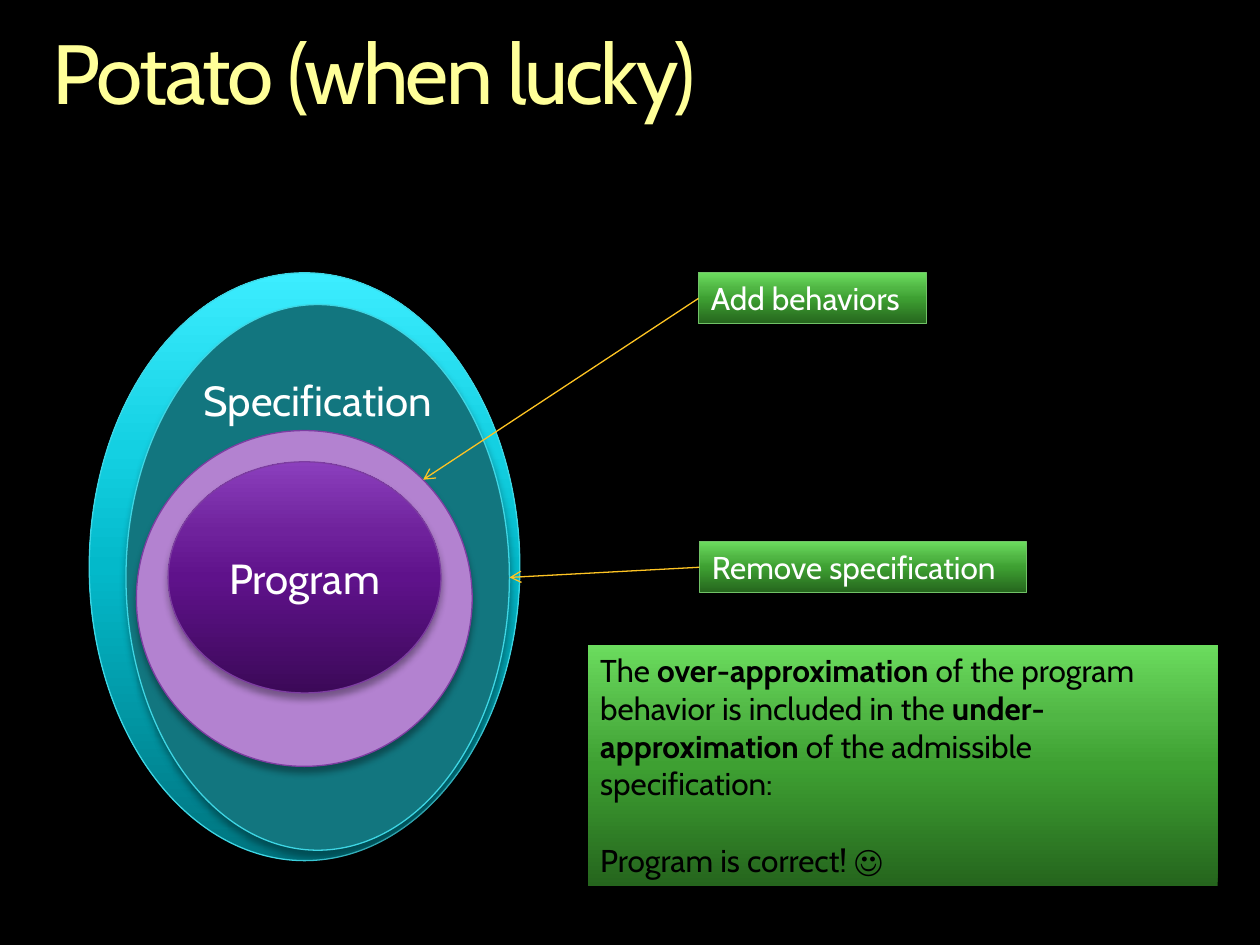
import pptx
import pptx.dml.color
import pptx.enum.dml
import pptx.enum.shapes
import pptx.enum.text
import pptx.oxml
import pptx.oxml.ns
import pptx.util
from lxml import etree

Cm = pptx.util.Cm
Pt = pptx.util.Pt
RGBColor = pptx.dml.color.RGBColor
qn = pptx.oxml.ns.qn
SHAPE = pptx.enum.shapes.MSO_SHAPE
ALIGN = pptx.enum.text.PP_ALIGN
ANCHOR = pptx.enum.text.MSO_ANCHOR

BLACK = RGBColor(0x00, 0x00, 0x00)
WHITE = RGBColor(0xFF, 0xFF, 0xFF)
YELLOW = RGBColor(0xFF, 0xFF, 0x99)
AMBER = RGBColor(0xFE, 0xC4, 0x23)
TEAL = RGBColor(0x12, 0x76, 0x7F)
AQUA = RGBColor(0x3E, 0xD6, 0xE4)
LILAC = RGBColor(0xB3, 0x82, 0xD0)
PLUM = RGBColor(0x7D, 0x3D, 0xA1)
LEAF = RGBColor(0x71, 0xC2, 0x67)
CYAN_RAMP = (RGBColor(0x00, 0x74, 0x7F), RGBColor(0x03, 0xB9, 0xCA),
             RGBColor(0x14, 0xD0, 0xE2), RGBColor(0x3C, 0xED, 0xFF))
PURPLE_RAMP = (RGBColor(0x3C, 0x09, 0x58), RGBColor(0x5F, 0x12, 0x8B),
               RGBColor(0x6F, 0x22, 0x9C), RGBColor(0x8B, 0x3F, 0xBD))
GREEN_RAMP = (RGBColor(0x25, 0x65, 0x1D), RGBColor(0x3E, 0xA0, 0x32),
              RGBColor(0x50, 0xB6, 0x44), RGBColor(0x6B, 0xDC, 0x5E))
RAMP_STOPS = (0, 50, 70, 100)


class PotatoSlide:
    font_name = "Cabin"
    line_width = Pt(0.75)

    def __init__(self, deck):
        self.slide = deck.slides.add_slide(deck.slide_layouts[5])
        self.slide.background.fill.solid()
        self.slide.background.fill.fore_color.rgb = BLACK

    def style_font(self, paragraph, size, color):
        paragraph.font.name = self.font_name
        paragraph.font.size = Pt(size)
        paragraph.font.color.rgb = color

    def title(self, wording, left, top, width, height):
        heading = self.slide.shapes.title
        heading.left, heading.top = Cm(left), Cm(top)
        heading.width, heading.height = Cm(width), Cm(height)
        frame = heading.text_frame
        frame.margin_left = frame.margin_right = 0
        frame.margin_top = frame.margin_bottom = 0
        frame.vertical_anchor = ANCHOR.TOP
        frame.text = wording
        paragraph = frame.paragraphs[0]
        paragraph.alignment = ALIGN.LEFT
        paragraph.line_spacing = 0.9
        self.style_font(paragraph, 48, YELLOW)
        paragraph.runs[0].font._element.set("spc", "-150")

    def ramp(self, shape, colors):
        shape.fill.gradient()
        shape.fill.gradient_angle = 90
        stops = shape.element.spPr.find(qn("a:gradFill")).find(qn("a:gsLst"))
        for stop in list(stops):
            stops.remove(stop)
        for position, color in zip(RAMP_STOPS, colors):
            stop = etree.SubElement(stops, qn("a:gs"), pos=str(position * 1000))
            etree.SubElement(stop, qn("a:srgbClr"), val=str(color))

    def drop_shadow(self, shape, blur, opacity):
        shape.shadow.inherit = False
        effects = shape.element.spPr.find(qn("a:effectLst"))
        shadow = etree.SubElement(
            effects, qn("a:outerShdw"), blurRad=str(Pt(blur)),
            dist=str(Pt(3)), dir="5400000", rotWithShape="0")
        color = etree.SubElement(shadow, qn("a:srgbClr"), val=str(BLACK))
        etree.SubElement(color, qn("a:alpha"), val=str(opacity * 1000))

    def body(self, kind, left, top, width, height, fill, outline, blur=4, opacity=35):
        shape = self.slide.shapes.add_shape(
            kind, Cm(left), Cm(top), Cm(width), Cm(height))
        if isinstance(fill, RGBColor):
            shape.fill.solid()
            shape.fill.fore_color.rgb = fill
        else:
            self.ramp(shape, fill)
        if outline is None:
            shape.line.fill.background()
        else:
            shape.line.color.rgb = outline
            shape.line.width = self.line_width
        self.drop_shadow(shape, blur, opacity)
        return shape

    def potato(self, left, top, width, height, fill, outline, wording=None):
        shape = self.body(SHAPE.OVAL, left, top, width, height, fill, outline)
        if wording:
            shape.text_frame.text = wording
            paragraph = shape.text_frame.paragraphs[0]
            paragraph.alignment = ALIGN.CENTER
            self.style_font(paragraph, 24, WHITE)
        return shape

    def label(self, wording, left, top, width, height):
        shape = self.body(SHAPE.RECTANGLE, left, top, width, height, GREEN_RAMP, LEAF)
        shape.text_frame.vertical_anchor = ANCHOR.TOP
        shape.text_frame.text = wording
        paragraph = shape.text_frame.paragraphs[0]
        paragraph.alignment = ALIGN.LEFT
        self.style_font(paragraph, 18, WHITE)
        return shape

    def verdict(self, paragraphs, left, top, width, height):
        shape = self.body(SHAPE.RECTANGLE, left, top, width, height,
                          GREEN_RAMP, None, blur=5, opacity=45)
        frame = shape.text_frame
        frame.vertical_anchor = ANCHOR.TOP
        for index, pieces in enumerate(paragraphs):
            paragraph = frame.add_paragraph() if index else frame.paragraphs[0]
            paragraph.alignment = ALIGN.LEFT
            if index:
                paragraph.space_before = Pt(22)
            self.style_font(paragraph, 18, BLACK)
            for wording, bold in pieces:
                run = paragraph.add_run()
                run.text = wording
                if bold:
                    run.font.bold = True

    def pointer(self, label, tip_x, tip_y):
        arrow = self.slide.shapes.add_connector(
            pptx.enum.shapes.MSO_CONNECTOR.STRAIGHT,
            label.left, label.top, Cm(tip_x), Cm(tip_y))
        arrow.begin_connect(label, 1)
        arrow.line.color.rgb = AMBER
        arrow.line.width = self.line_width
        properties = arrow.element.spPr
        etree.SubElement(properties.find(qn("a:ln")), qn("a:tailEnd"), type="arrow")
        etree.SubElement(properties, qn("a:effectLst"))


def main():
    deck = pptx.Presentation()
    deck.slide_width, deck.slide_height = Cm(25.4), Cm(19.05)
    page = PotatoSlide(deck)
    page.title("Potato (when lucky)", 1.06, 0.64, 23.28, 1.86)

    page.potato(1.8, 5.5, 8.68, 11.85, CYAN_RAMP, AQUA)
    specification = page.potato(2.54, 6.14, 7.73, 11, TEAL, AQUA, "Specification")
    specification.text_frame.vertical_anchor = ANCHOR.TOP
    specification.text_frame.margin_top = Cm(-0.2)
    page.potato(2.75, 8.68, 6.77, 6.77, LILAC, PLUM)
    page.potato(3.39, 9.31, 5.5, 4.66, PURPLE_RAMP, PLUM, "Program")

    add_behaviors = page.label("Add behaviors", 14.08, 5.5, 4.6, 1.03)
    remove_specification = page.label("Remove specification", 14.1, 10.92, 6.6, 1.03)
    page.pointer(remove_specification, 10.27, 11.64)
    page.pointer(add_behaviors, 8.53, 9.67)

    page.verdict([
        [("The ", False), ("over-approximation ", True),
         ("of the program behavior is included in the ", False),
         ("under-approximation ", True),
         ("of the admissible specification:", False)],
        [("Program is correct! ☺", False)],
    ], 11.85, 13, 12.7, 4.87)
    deck.save("out.pptx")


if __name__ == "__main__":
    main()
